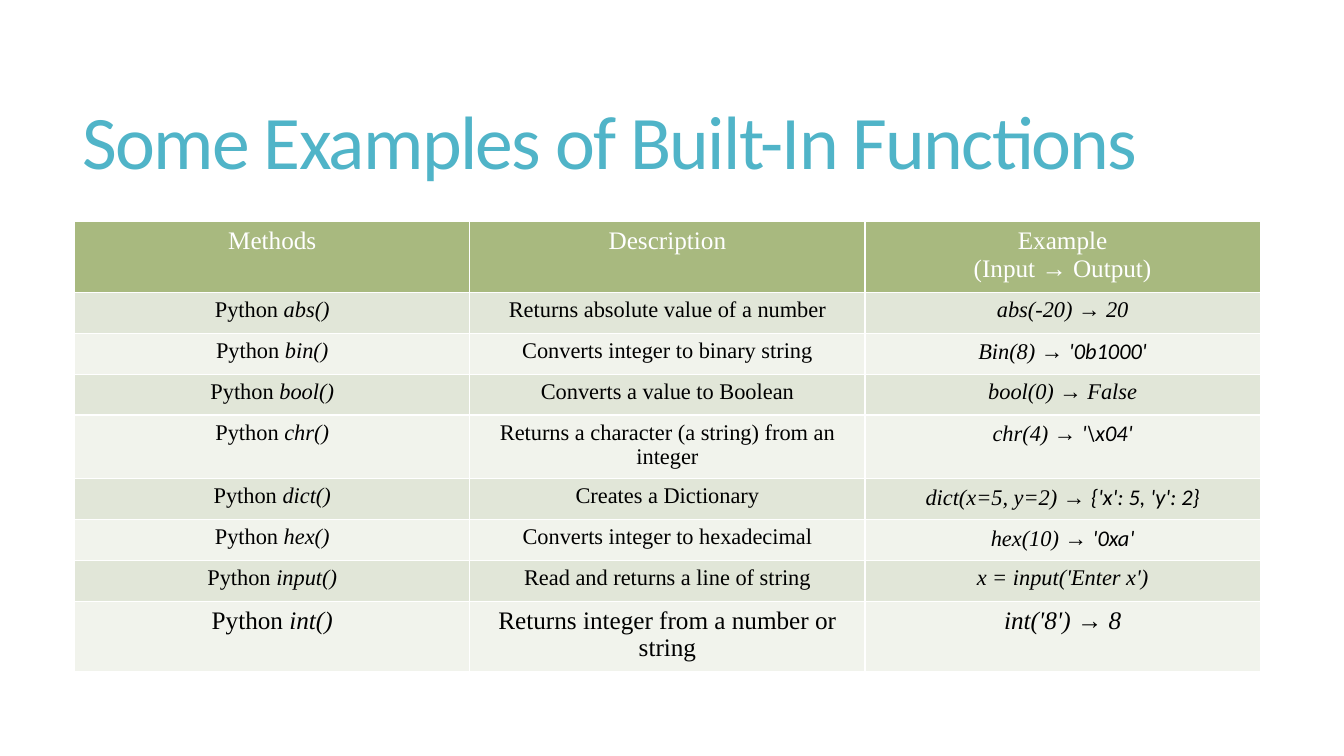
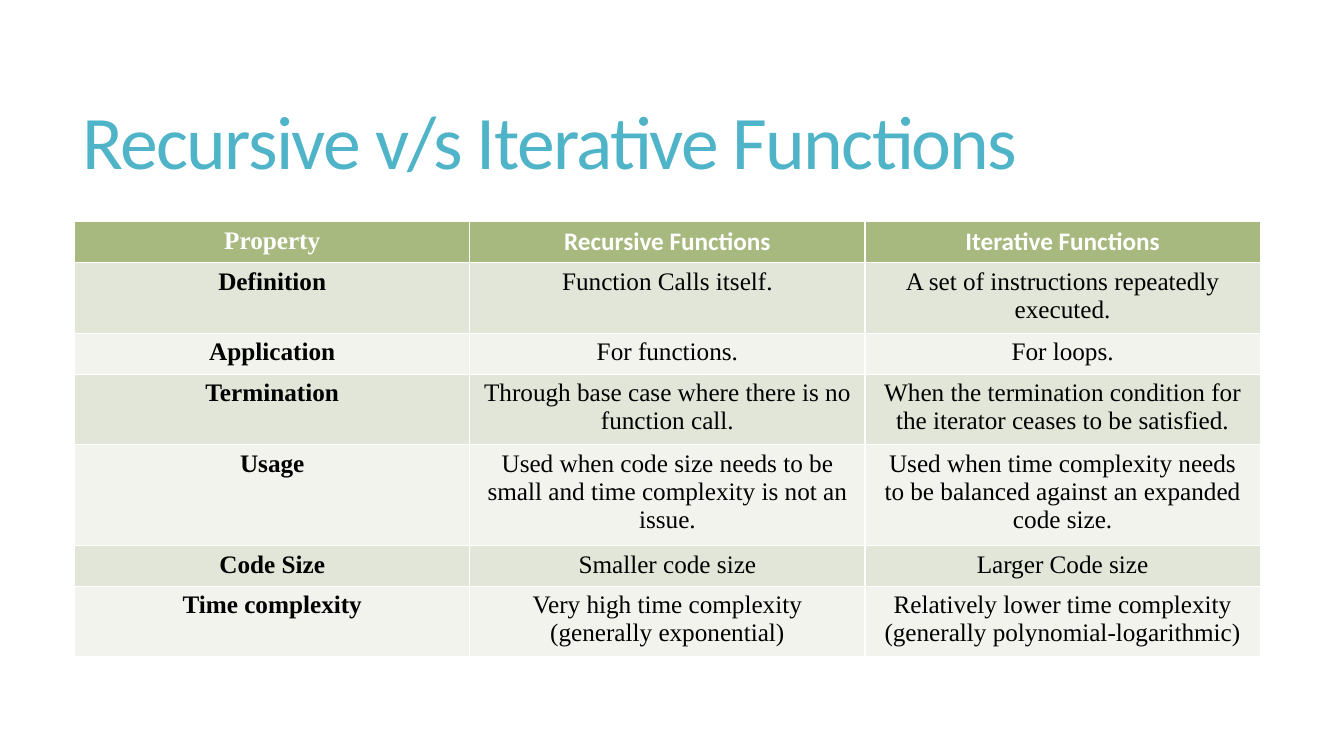
from pptx import Presentation
from pptx.dml.color import RGBColor
from pptx.enum.text import MSO_ANCHOR, PP_ALIGN
from pptx.util import Inches, Pt

CENTER = PP_ALIGN.CENTER
MIDDLE = MSO_ANCHOR.MIDDLE

COLORS = {
    "title": "50B4C8",
    "header": "A8B97F",
    "odd_row": "E1E6D8",
    "even_row": "F1F3EC",
    "light": "FFFFFF",
    "dark": "000000",
}
SANS = "Calibri"
SERIF = "Times New Roman"

TITLE_BOX = [Inches(value) for value in (0.72, 0.55, 11.78, 1.81)]
TABLE_LEFT, TABLE_TOP = Inches(0.74), Inches(2.2)
COLUMN_WIDTH, ROW_HEIGHT = Inches(3.92), Pt(29.2)

TITLE_FORMAT = {"name": SANS, "size": Pt(54), "color": "title"}
HEADER_FORMAT = {"name": SERIF, "size": Pt(18), "color": "light", "bold": False}
BODY_FORMAT = {"name": SERIF, "size": Pt(18), "color": "dark", "bold": False}
ITALIC = {"italic": True}
ITALIC_SANS = {"italic": True, "name": SANS}
BOLD = {"bold": True}
BOLD_SANS = {"bold": True, "name": SANS}

# Function, description, call and the part of the example set in sans
BUILT_INS = [
    ("abs()", "Returns absolute value of a number", "abs(-20) → 20", ""),
    ("bin()", "Converts integer to binary string", "Bin(8) → ", "'0b1000'"),
    ("bool()", "Converts a value to Boolean", "bool(0) → False", ""),
    ("chr()", "Returns a character (a string) from an integer", "chr(4) → ", r"'\x04'"),
    ("dict()", "Creates a Dictionary", "dict(x=5, y=2) → ", "{'x': 5, 'y': 2}"),
    ("hex()", "Converts integer to hexadecimal", "hex(10) → ", "'0xa'"),
    ("input()", "Read and returns a line of string", "x = input('Enter x')", ""),
    ("int()", "Returns integer from a number or string", "int('8') → 8", ""),
]

COMPARISON = [
    ("Definition", "Function Calls itself.",
     "A set of instructions repeatedly executed."),
    ("Application", "For functions.", "For loops."),
    ("Termination", "Through base case where there is no function call.",
     "When the termination condition for the iterator ceases to be satisfied."),
    ("Usage", "Used when code size needs to be small and time complexity is not an issue.",
     "Used when time complexity needs to be balanced against an expanded code size."),
    ("Code Size", "Smaller code size", "Larger Code size"),
    ("Time complexity", "Very high time complexity (generally exponential)",
     "Relatively lower time complexity (generally polynomial-logarithmic)"),
]


def add_span(para, text, text_format):
    span = para.add_run()
    span.text = text
    for name, value in text_format.items():
        if name == "color":
            span.font.color.rgb = RGBColor.from_string(COLORS[value])
        else:
            setattr(span.font, name, value)
    return span


def add_title(page, text):
    frame = page.shapes.add_textbox(*TITLE_BOX).text_frame
    frame.word_wrap = True
    frame.vertical_anchor = MIDDLE
    para = frame.paragraphs[0]
    para.line_spacing = 0.85
    span = add_span(para, text, TITLE_FORMAT)
    span.font._element.set("spc", "-120")


def fill_cell(cell, paragraphs, base_format, color, side_margin):
    """Write paragraphs, each a list of (text, format changes), into a cell."""
    cell.fill.solid()
    cell.fill.fore_color.rgb = RGBColor.from_string(COLORS[color])
    cell.margin_left = cell.margin_right = side_margin
    frame = cell.text_frame
    for index, spans in enumerate(paragraphs):
        para = frame.add_paragraph() if index else frame.paragraphs[0]
        para.alignment = CENTER
        for text, changes in spans:
            add_span(para, text, {**base_format, **changes})


def add_banded_table(page, rows, side_margin):
    """Add a table whose first row is the header; its default style draws white rules."""
    column_count = len(rows[0])
    table = page.shapes.add_table(
        len(rows), column_count, TABLE_LEFT, TABLE_TOP,
        COLUMN_WIDTH * column_count, ROW_HEIGHT * len(rows)).table
    for row_index, row in enumerate(rows):
        table.rows[row_index].height = ROW_HEIGHT
        base_format = BODY_FORMAT if row_index else HEADER_FORMAT
        color = ("even_row", "odd_row")[row_index % 2] if row_index else "header"
        for column_index, paragraphs in enumerate(row):
            fill_cell(table.cell(row_index, column_index), paragraphs,
                      base_format, color, side_margin)


def built_in_rows():
    rows = [[[[("Methods", {})]], [[("Description", {})]],
             [[("Example", {})], [("(Input → Output)", {})]]]]
    for function, description, call, result in BUILT_INS:
        size = {"size": Pt(18 if function == "int()" else 16)}
        example = [(call, {**ITALIC, **size})]
        if result:
            example.append((result, {**ITALIC_SANS, **size}))
        rows.append([[[("Python ", size), (function, {**ITALIC, **size})]],
                     [[(description, size)]], [example]])
    return rows


def comparison_rows():
    rows = [[[[("Property", BOLD)]], [[("Recursive Functions", BOLD_SANS)]],
             [[("Iterative Functions", BOLD_SANS)]]]]
    for label, recursive, iterative in COMPARISON:
        rows.append([[[(label, BOLD)]], [[(recursive, {})]], [[(iterative, {})]]])
    return rows


def main():
    deck = Presentation()
    deck.slide_width, deck.slide_height = Inches(13.33), Inches(7.5)
    for title, rows, side_margin in (
        ("Some Examples of Built-In Functions", built_in_rows(), Inches(0.1)),
        ("Recursive v/s Iterative Functions", comparison_rows(), Inches(0.13)),
    ):
        page = deck.slides.add_slide(deck.slide_layouts[6])
        add_title(page, title)
        add_banded_table(page, rows, side_margin)
    deck.save("out.pptx")


if __name__ == "__main__":
    main()
